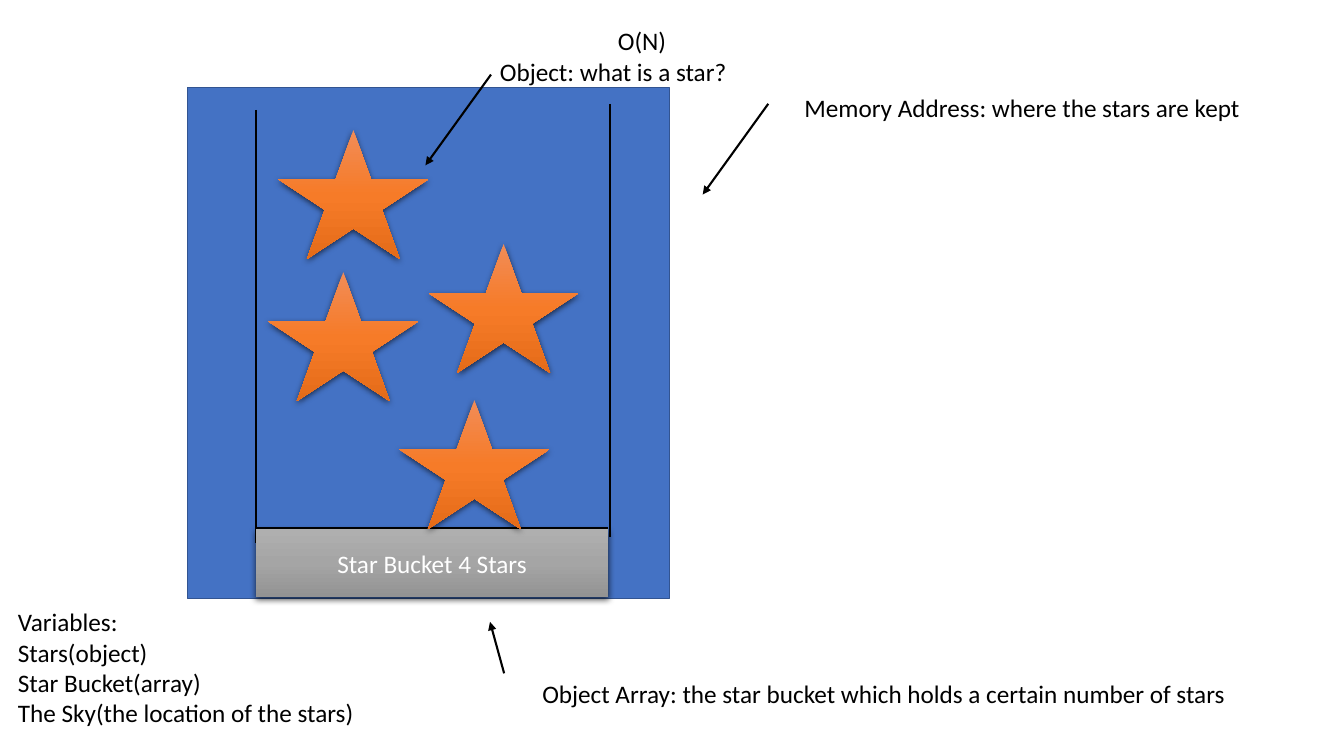
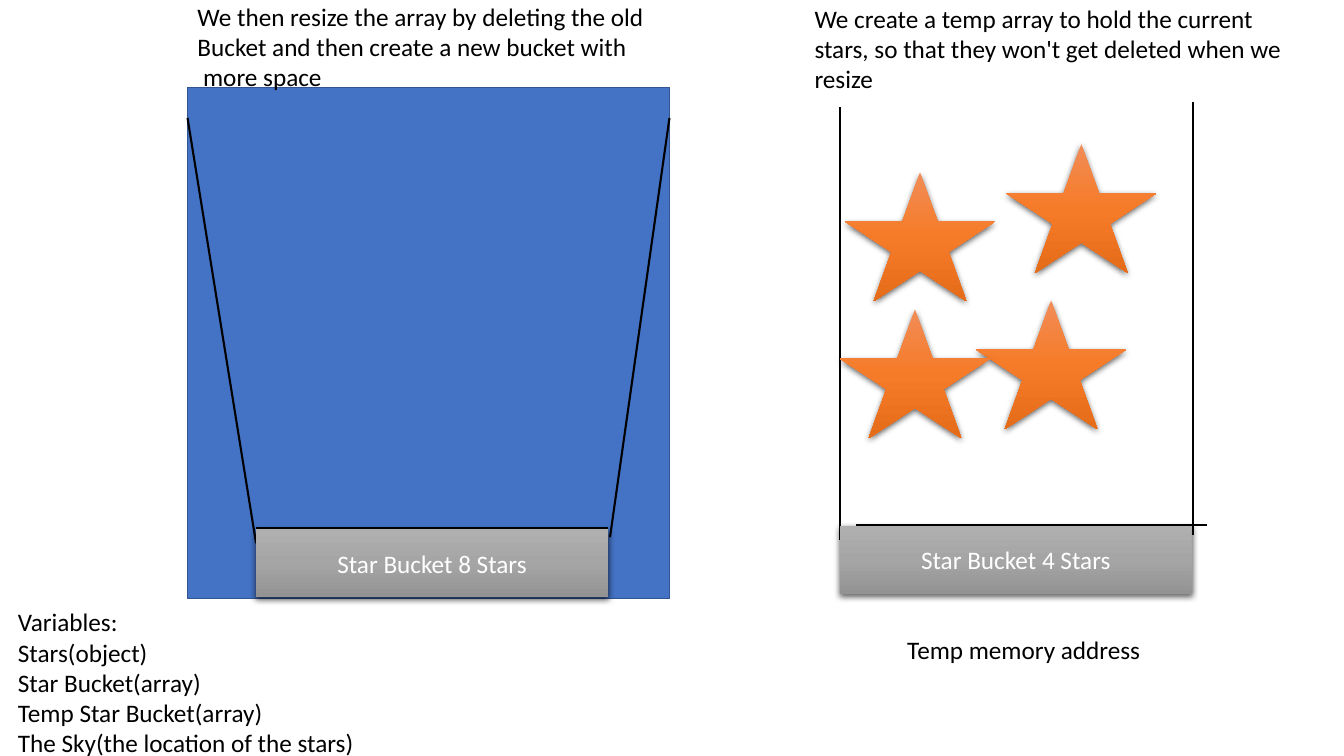
import copy

import pptx
import pptx.chart.data
import pptx.dml.color
import pptx.enum.shapes
import pptx.enum.text
import pptx.oxml
import pptx.oxml.ns
import pptx.util

Inches = pptx.util.Inches
Pt = pptx.util.Pt
qn = pptx.oxml.ns.qn
Shapes = pptx.enum.shapes.MSO_SHAPE

COLOURS = {
    "sky": "4472C4",
    "sky_edge": "325491",
    "ink": "000000",
    "label": "FFFFFF",
}
STAR_STOPS = ["F18C57", "F67B28", "E56C19"]
BASE_STOPS = ["AFAFAF", "A5A5A5", "939393"]
FONT = "Calibri"
BLANK_LAYOUT = 6
STAR_SIZE = (1.49, 1.28)
BASE_SIZE = (3.49, 0.67)
LINE_HEIGHT = 0.4
VARIABLES = ["Variables:", "Stars(object)", "Star Bucket(array)"]
SKY_VARIABLE = "The Sky(the location of the stars)"


def colour(value):
    return pptx.dml.color.RGBColor.from_string(value)


def format_text(frame, ink):
    for para in frame.paragraphs:
        for span in para.runs:
            span.font.name = FONT
            span.font.size = Pt(18)
            span.font.color.rgb = colour(COLOURS[ink])


def add_text(page, left, top, width, height, text, wrap=False):
    box = page.shapes.add_textbox(*map(Inches, (left, top, width, height)))
    frame = box.text_frame
    frame.text = text
    frame.word_wrap = wrap
    frame.auto_size = pptx.enum.text.MSO_AUTO_SIZE.SHAPE_TO_FIT_TEXT
    format_text(frame, "ink")


def add_line(page, start, end, arrow=False):
    line = page.shapes.add_connector(
        pptx.enum.shapes.MSO_CONNECTOR.STRAIGHT, *map(Inches, start + end))
    line.line.color.rgb = colour(COLOURS["ink"])
    line.line.width = Pt(1.5)
    properties = line._element.spPr
    if arrow:
        tip = pptx.oxml.parse_xml(
            f'<a:tailEnd {pptx.oxml.ns.nsdecls("a")} type="triangle"/>')
        properties.find(qn("a:ln")).append(tip)
    properties.append(pptx.oxml.parse_xml(
        f'<a:effectLst {pptx.oxml.ns.nsdecls("a")}/>'))


def add_raised_shape(page, kind, left, top, size, stops):
    shape = page.shapes.add_shape(kind, *map(Inches, (left, top) + size))
    shape.fill.gradient()
    shape.fill.gradient_angle = 270
    properties = shape._element.spPr
    stop_list = properties.find(qn("a:gradFill")).find(qn("a:gsLst"))
    stop_list.append(copy.deepcopy(stop_list[-1]))
    for index, stop in enumerate(shape.fill.gradient_stops):
        stop.color.rgb = colour(stops[index])
        stop.position = index / 2
    shape.line.fill.background()
    shape.shadow.inherit = False
    properties.find(qn("a:effectLst")).append(pptx.oxml.parse_xml(
        f'<a:outerShdw {pptx.oxml.ns.nsdecls("a")} blurRad="{Pt(4.5)}" '
        f'dist="{Pt(1.5)}" dir="5400000" algn="ctr" rotWithShape="0">'
        f'<a:srgbClr val="{COLOURS["ink"]}"><a:alpha val="63000"/>'
        '</a:srgbClr></a:outerShdw>'))
    return shape


def add_stars(page, places):
    for left, top in places:
        add_raised_shape(page, Shapes.STAR_5_POINT, left, top, STAR_SIZE, STAR_STOPS)


def add_base(page, left, top, label):
    base = add_raised_shape(page, Shapes.RECTANGLE, left, top, BASE_SIZE, BASE_STOPS)
    frame = base.text_frame
    frame.text = label
    frame.vertical_anchor = pptx.enum.text.MSO_ANCHOR.MIDDLE
    frame.paragraphs[0].alignment = pptx.enum.text.PP_ALIGN.CENTER
    format_text(frame, "label")


def add_sky(page):
    sky = page.shapes.add_shape(
        Shapes.RECTANGLE, *map(Inches, (1.86, 0.87, 4.78, 5.07)))
    sky.shadow.inherit = False
    sky.fill.solid()
    sky.fill.fore_color.rgb = colour(COLOURS["sky"])
    sky.line.color.rgb = colour(COLOURS["sky_edge"])
    sky.line.width = Pt(1)


def add_sky_bucket(page, label, left_rim, right_rim):
    add_sky(page)
    add_line(page, left_rim, (2.54, 5.39))
    add_line(page, right_rim, (6.05, 5.33))
    add_base(page, 2.54, 5.25, label)
    add_line(page, (6.03, 5.24), (2.54, 5.24))


def add_variables(page, names):
    height = 0.4 + 0.3 * len(names)
    add_text(page, 0.08, 5.97, 3.57, height, "\n".join(names))


def build_bucket_page(page):
    add_sky_bucket(page, "Star Bucket 4 Stars", (2.54, 1.09), (6.05, 1.03))
    add_stars(page, [(3.96, 3.97), (4.25, 2.42), (2.66, 2.7), (2.76, 1.29)])
    for start, end in [((7.62, 1.03), (6.97, 1.93)),
                       ((4.87, 0.74), (4.22, 1.64)),
                       ((5, 6.68), (4.86, 6.17))]:
        add_line(page, start, end, arrow=True)
    for left, top, width, text in [
            (6.03, 0.2, 0.69, "O(N)"),
            (4.86, 0.51, 2.47, "Object: what is a star?"),
            (7.88, 0.87, 4.57, "Memory Address: where the stars are kept"),
            (5.28, 6.68, 7.05, "Object Array: the star bucket which holds "
                               "a certain number of stars")]:
        add_text(page, left, top, width, LINE_HEIGHT, text)
    add_variables(page, VARIABLES + [SKY_VARIABLE])


def build_resize_page(page):
    add_sky_bucket(page, "Star Bucket 8 Stars", (1.86, 1.17), (6.64, 1.17))
    add_line(page, (8.33, 1.06), (8.33, 5.36))
    add_line(page, (11.83, 1.01), (11.83, 5.31))
    add_base(page, 8.33, 5.22, "Star Bucket 4 Stars")
    add_line(page, (11.97, 5.21), (8.49, 5.21))
    add_stars(page, [(9.68, 2.98), (9.98, 1.43), (8.38, 1.71), (8.33, 3.07)])
    add_text(page, 1.86, -0.04, 4.69, 1.01,
             "We then resize the array by deleting the old\n"
             "Bucket and then create a new bucket with\v more space")
    add_text(page, 7.98, -0.02, 4.89, 1.01,
             "We create a temp array to hold the current stars, "
             "so that they won't get deleted when we resize", wrap=True)
    add_text(page, 8.9, 6.24, 2.6, LINE_HEIGHT, "Temp memory address")
    add_variables(page, VARIABLES + ["Temp Star Bucket(array)", SKY_VARIABLE])


def main():
    deck = pptx.Presentation()
    deck.slide_width = Inches(13.33)
    deck.slide_height = Inches(7.5)
    for build in (build_bucket_page, build_resize_page):
        build(deck.slides.add_slide(deck.slide_layouts[BLANK_LAYOUT]))
    deck.save("out.pptx")


if __name__ == "__main__":
    main()
